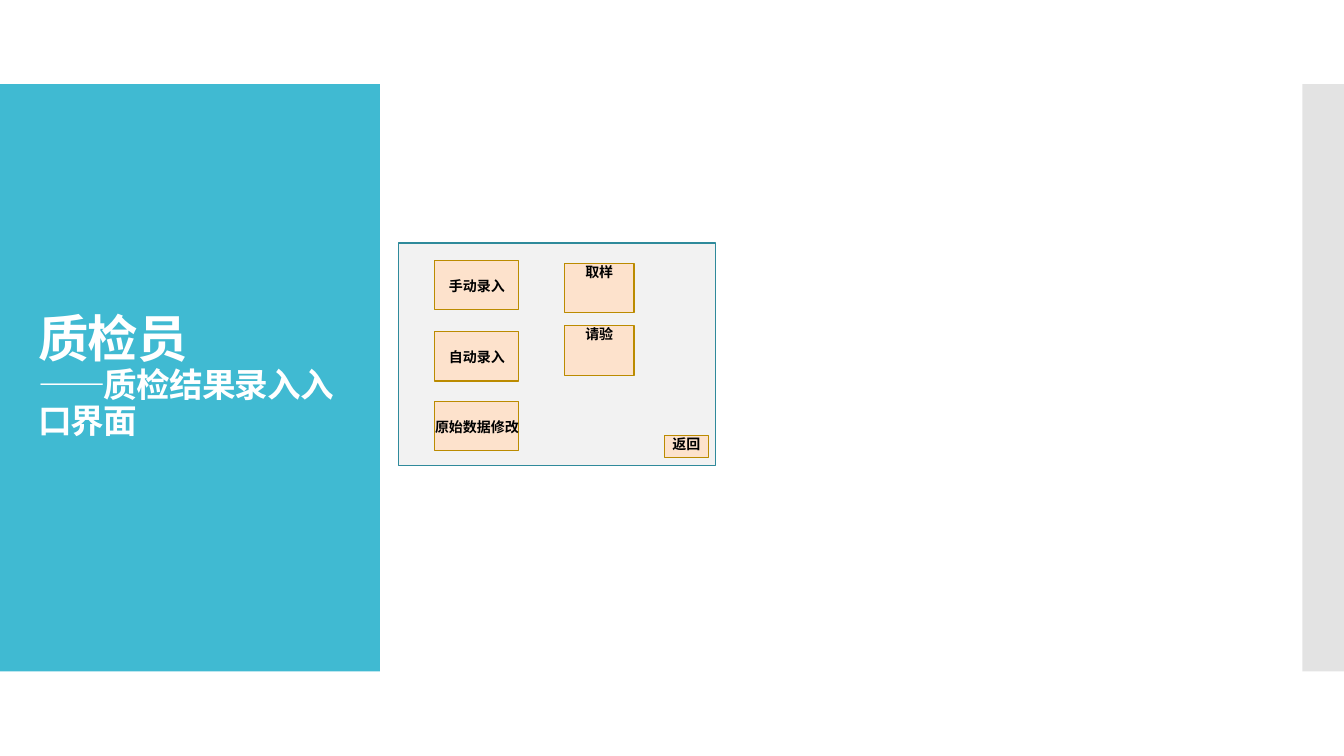
from lxml.etree import SubElement
from pptx import Presentation
from pptx.dml.color import RGBColor
from pptx.enum.shapes import MSO_SHAPE
from pptx.enum.text import MSO_ANCHOR, PP_ALIGN
from pptx.oxml.ns import qn
from pptx.util import Pt

BLANK_LAYOUT = 6
BUTTON_HEIGHT = 35.3
ENTRY_BUTTONS = [("手动录入", 185.8), ("自动录入", 236.9), ("原始数据修改", 286.6)]
SAMPLE_BUTTONS = [("取样", 187.9), ("请验", 232.6)]


def color(value):
    """Turn a hex string into a colour."""
    return RGBColor.from_string(value)


def add_box(slide, left, top, width, height, fill, line=None, line_width=0.75):
    """Add a flat rectangle with an optional outline."""
    shape = slide.shapes.add_shape(
        MSO_SHAPE.RECTANGLE, Pt(left), Pt(top), Pt(width), Pt(height))
    shape.shadow.inherit = False
    shape.fill.solid()
    shape.fill.fore_color.rgb = color(fill)
    if line:
        shape.line.color.rgb = color(line)
        shape.line.width = Pt(line_width)
    else:
        shape.line.fill.background()
    return shape


def set_opacity(shape, percent):
    """Make the solid fill of a shape partly transparent."""
    fill_color = shape.fill._xPr.find(qn("a:solidFill"))[0]
    SubElement(fill_color, qn("a:alpha"), val=str(percent * 1000))


def add_text(paragraph, text, size, text_color, spacing=0):
    """Add a bold run with its size, colour and letter spacing."""
    run = paragraph.add_run()
    run.text = text
    run.font.name = "Calibri"
    run.font.size = Pt(size)
    run.font.bold = True
    run.font.color.rgb = color(text_color)
    if spacing:
        run.font._element.set("spc", str(round(spacing * 100)))


def add_button(slide, text, left, top, width, height=BUTTON_HEIGHT, inset=0):
    """Add a button whose label starts at the given inset from its top."""
    button = add_box(slide, left, top, width, height, "FDE2CC", "BB8B00")
    frame = button.text_frame
    frame.word_wrap = True
    frame.vertical_anchor = MSO_ANCHOR.TOP
    frame.margin_left = frame.margin_right = frame.margin_bottom = 0
    frame.margin_top = Pt(inset)
    paragraph = frame.paragraphs[0]
    paragraph.alignment = PP_ALIGN.CENTER
    add_text(paragraph, text, size=10, text_color="000000")


def add_title(slide):
    """Add the title with its smaller subtitle on the next line."""
    box = slide.shapes.add_textbox(Pt(20.2), Pt(88.6), Pt(231.8), Pt(362.2))
    frame = box.text_frame
    frame.word_wrap = True
    frame.vertical_anchor = MSO_ANCHOR.MIDDLE
    paragraph = frame.paragraphs[0]
    paragraph.line_spacing = 0.9
    add_text(paragraph, "质检员", size=36, text_color="FFFFFF", spacing=-0.6)
    paragraph.add_line_break()
    add_text(paragraph, "——质检结果录入入口界面", size=24, text_color="FFFFFF", spacing=-0.6)


def main():
    """Build the slide and save it."""
    presentation = Presentation()
    presentation.slide_width = Pt(960)
    presentation.slide_height = Pt(540)
    slide = presentation.slides.add_slide(presentation.slide_layouts[BLANK_LAYOUT])

    add_box(slide, 0, 60, 271.3, 419.5, "40BAD2")
    side_band = add_box(slide, 930.3, 60, 29.7, 419.5, "C8C8C8")
    set_opacity(side_band, 50)
    add_title(slide)

    add_box(slide, 284.4, 173.6, 226.8, 159, "F2F2F2", "2F8A9B", 0.85)
    for text, top in ENTRY_BUTTONS:
        add_button(slide, text, 310.6, top, 60, inset=12.2)
    for text, top in SAMPLE_BUTTONS:
        add_button(slide, text, 403.2, top, 49.7)
    add_button(slide, "返回", 474.6, 311, 31.2, height=15.8)

    presentation.save("out.pptx")


if __name__ == "__main__":
    main()
